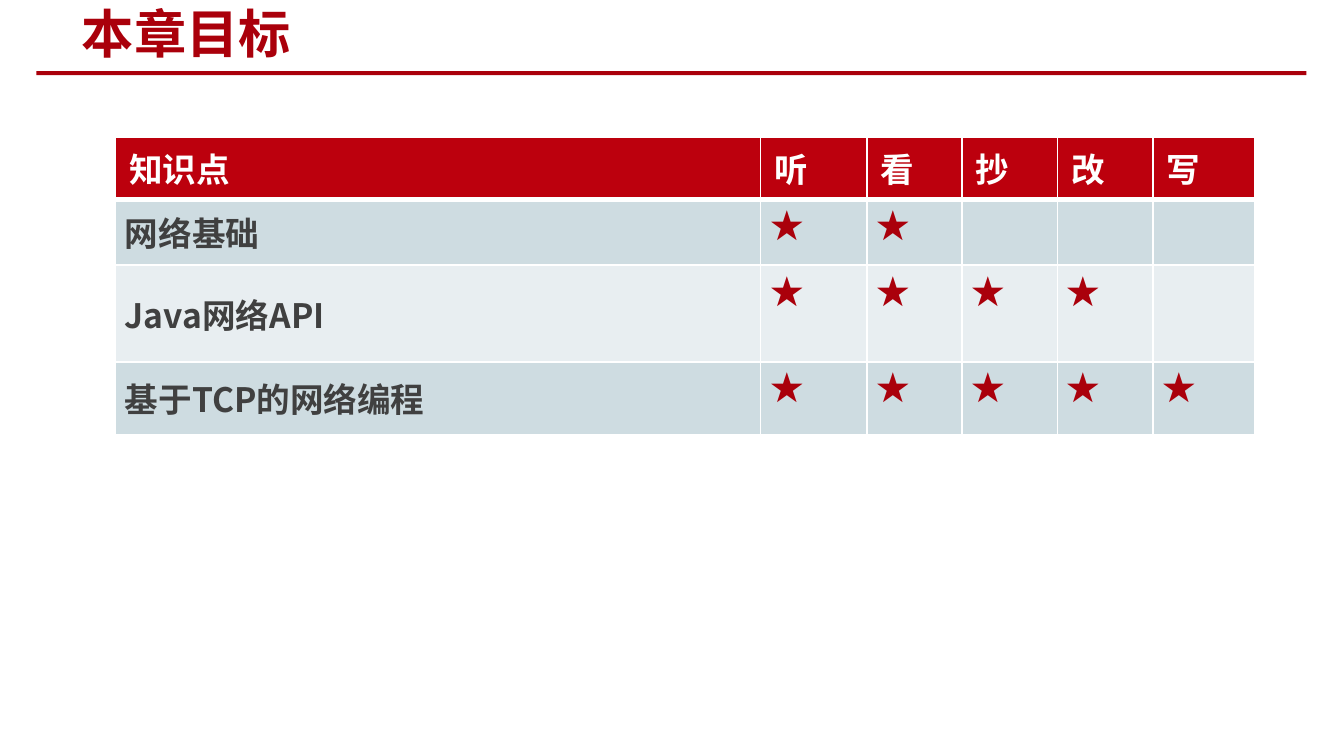
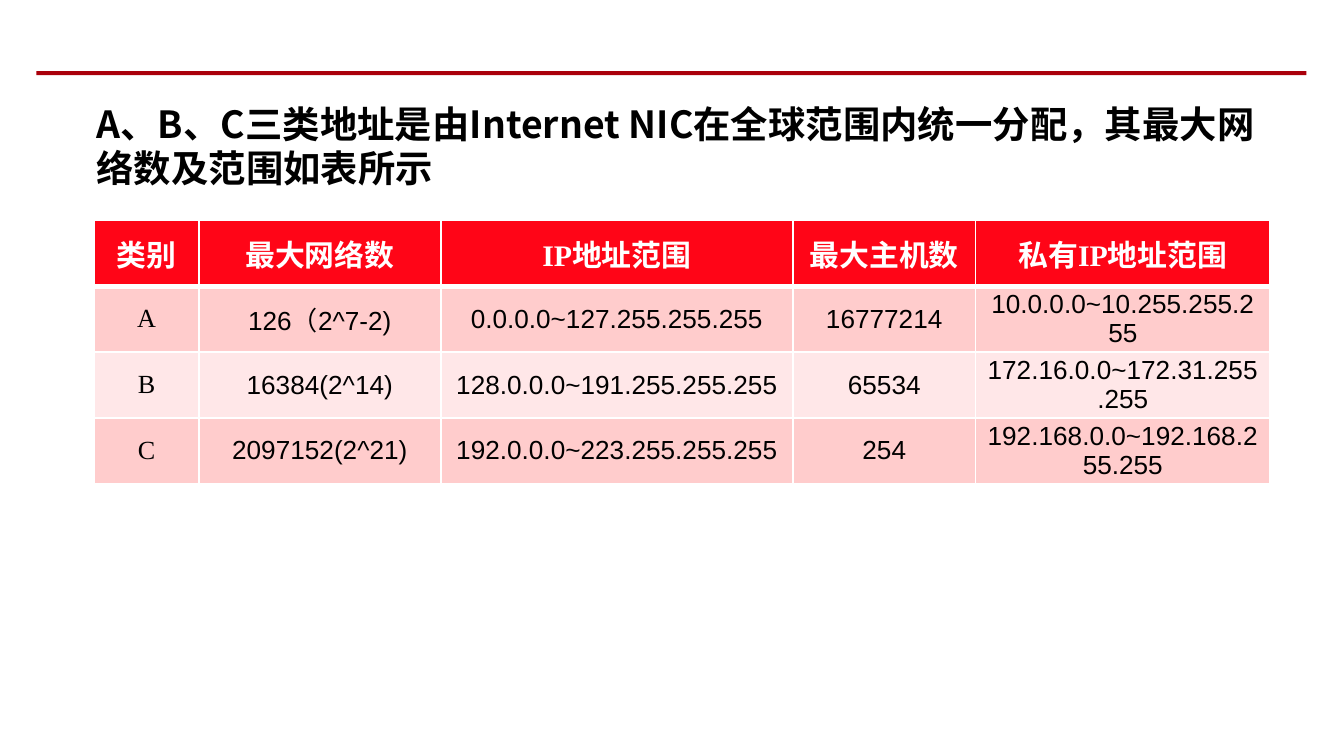
"""Build two networking course slides: a goals grid and an address class table."""
import dataclasses
import typing

import lxml.etree
import pptx
import pptx.dml.color
import pptx.enum.shapes
import pptx.enum.text
import pptx.oxml.ns
import pptx.util

Inches = pptx.util.Inches
Pt = pptx.util.Pt
qn = pptx.oxml.ns.qn
ALIGN = pptx.enum.text.PP_ALIGN
ANCHOR = pptx.enum.text.MSO_ANCHOR

COLORS = {
    "white": "FFFFFF", "black": "000000", "grey": "404040", "brand": "AA000B",
    "goal_head": "BC000D", "goal_odd": "CEDCE1", "goal_even": "E8EEF1",
    "class_head": "FF0517", "class_odd": "FFCCCC", "class_even": "FFE7E8",
}
CJK = "Noto Sans CJK SC"
SERIF = "Times New Roman"
SANS = "Arial"
STAR = "★"


@dataclasses.dataclass(frozen=True)
class Style:
    """Text format of a run and its paragraph."""
    size: float
    color: str
    font: str = CJK
    bold: bool = True
    align: typing.Any = ALIGN.LEFT


@dataclasses.dataclass(frozen=True)
class CellStyle:
    """Text format, anchor and margins of a table cell."""
    text: Style
    anchor: typing.Any
    margin_x: float
    margin_y: float


@dataclasses.dataclass(frozen=True)
class Grid:
    """A table with a header row, a styled first column and banded rows."""
    left: float
    top: float
    cols: typing.Sequence[float]
    rows: typing.Sequence[float]
    data: typing.Sequence[typing.Sequence[str]]
    fills: typing.Tuple[str, str, str]
    head: CellStyle
    first: CellStyle
    body: CellStyle


def rgb(name: str) -> pptx.dml.color.RGBColor:
    """Return a palette colour."""
    return pptx.dml.color.RGBColor.from_string(COLORS[name])


def set_attrs(obj: typing.Any, values: typing.Dict[str, typing.Any]) -> None:
    """Set each attribute of an object from a dict."""
    for name, value in values.items():
        setattr(obj, name, value)


def write(tf: typing.Any, text: str, style: Style) -> None:
    """Write one formatted paragraph."""
    p = tf.paragraphs[0]
    p.alignment = style.align
    r = p.add_run()
    r.text = text
    set_attrs(r.font, {"size": Pt(style.size), "name": style.font, "bold": style.bold})
    r.font.color.rgb = rgb(style.color)
    ea = lxml.etree.SubElement(r.font._element, qn("a:ea"))
    ea.set("typeface", CJK)


def add_rule(slide: typing.Any) -> None:
    """Draw the red band below the title area."""
    sp = slide.shapes.add_shape(pptx.enum.shapes.MSO_SHAPE.RECTANGLE,
                                Inches(0.27), Inches(0.53), Inches(9.45), Inches(0.03))
    sp.shadow.inherit = False
    sp.fill.solid()
    sp.fill.fore_color.rgb = rgb("brand")
    sp.line.fill.background()


def add_title(slide: typing.Any, text: str) -> None:
    """Place and format the title placeholder."""
    sp = slide.shapes.title
    set_attrs(sp, {"left": Inches(0.51), "top": Inches(0.02),
                   "width": Inches(5.3), "height": Inches(0.45)})
    set_attrs(sp.text_frame, {"word_wrap": True, "vertical_anchor": ANCHOR.MIDDLE,
                              "auto_size": pptx.enum.text.MSO_AUTO_SIZE.NONE})
    write(sp.text_frame, text, Style(28, "brand"))


def add_lead(slide: typing.Any, text: str) -> None:
    """Add the introductory sentence."""
    sp = slide.shapes.add_textbox(Inches(0.62), Inches(0.7), Inches(8.98), Inches(1.41))
    sp.text_frame.word_wrap = True
    write(sp.text_frame, text, Style(20, "black"))


def add_borders(cell: typing.Any, top: float, bottom: float) -> None:
    """Draw the white lines around a cell."""
    tc_pr = cell._tc.get_or_add_tcPr()
    for side, width in {"L": 1, "R": 1, "T": top, "B": bottom}.items():
        ln = lxml.etree.SubElement(tc_pr, qn(f"a:ln{side}"), w=str(Pt(width)))
        fill = lxml.etree.SubElement(ln, qn("a:solidFill"))
        lxml.etree.SubElement(fill, qn("a:srgbClr"), val=COLORS["white"])


def add_grid(slide: typing.Any, grid: Grid) -> None:
    """Draw a table."""
    frame = slide.shapes.add_table(len(grid.rows), len(grid.cols),
                                   Inches(grid.left), Inches(grid.top),
                                   Inches(sum(grid.cols)), Inches(sum(grid.rows)))
    table = frame.table
    for col, width in zip(table.columns, grid.cols):
        col.width = Inches(width)
    for row, height in zip(table.rows, grid.rows):
        row.height = Inches(height)
    for i, values in enumerate(grid.data):
        for j, text in enumerate(values):
            cell = table.cell(i, j)
            style = grid.head if i == 0 else grid.first if j == 0 else grid.body
            x, y = Inches(style.margin_x), Inches(style.margin_y)
            set_attrs(cell, {"vertical_anchor": style.anchor, "margin_left": x,
                             "margin_right": x, "margin_top": y, "margin_bottom": y})
            add_borders(cell, 3 if i == 1 else 1, 3 if i == 0 else 1)
            cell.fill.solid()
            band = 0 if i == 0 else 2 - i % 2
            cell.fill.fore_color.rgb = rgb(grid.fills[band])
            if text:
                write(cell.text_frame, text, style.text)


def goal_row(topic: str, stars: int) -> typing.List[str]:
    """Return a topic followed by its stars in five columns."""
    return [topic] + [STAR] * stars + [""] * (5 - stars)


def class_cell(size: float, color: str, font: str, bold: bool) -> CellStyle:
    """Return a centred cell style for the address table."""
    return CellStyle(Style(size, color, font, bold, ALIGN.CENTER), ANCHOR.MIDDLE, 0.07, 0.01)


GOALS = Grid(
    0.86, 1.02, [4.8, 0.79, 0.71, 0.71, 0.71, 0.76], [0.45, 0.49, 0.72, 0.54],
    [["知识点", "听", "看", "抄", "改", "写"],
     goal_row("网络基础", 2),
     goal_row("Java网络API", 4),
     goal_row("基于TCP的网络编程", 5)],
    ("goal_head", "goal_odd", "goal_even"),
    CellStyle(Style(18, "white"), ANCHOR.TOP, 0.1, 0.05),
    CellStyle(Style(18, "grey"), ANCHOR.MIDDLE, 0.07, 0),
    CellStyle(Style(18, "brand"), ANCHOR.TOP, 0.07, 0),
)

CLASSES = Grid(
    0.7, 1.64, [0.78, 1.8, 2.62, 1.36, 2.19], [0.49] * 4,
    [["类别", "最大网络数", "IP地址范围", "最大主机数", "私有IP地址范围"],
     ["A", "126（2^7-2)", "0.0.0.0~127.255.255.255", "16777214",
      "10.0.0.0~10.255.255.255"],
     ["B", "16384(2^14)", "128.0.0.0~191.255.255.255", "65534",
      "172.16.0.0~172.31.255.255"],
     ["C", "2097152(2^21)", "192.0.0.0~223.255.255.255", "254",
      "192.168.0.0~192.168.255.255"]],
    ("class_head", "class_odd", "class_even"),
    class_cell(16, "white", SERIF, True),
    class_cell(14, "black", SERIF, False),
    class_cell(14, "black", SANS, False),
)


def main() -> None:
    """Build and save the presentation."""
    prs = pptx.Presentation()
    set_attrs(prs, {"slide_width": Inches(10), "slide_height": Inches(10) * 9 // 16})

    slide = prs.slides.add_slide(prs.slide_layouts.get_by_name("Title Only"))
    add_rule(slide)
    add_title(slide, "本章目标")
    add_grid(slide, GOALS)

    slide = prs.slides.add_slide(prs.slide_layouts.get_by_name("Blank"))
    add_rule(slide)
    add_grid(slide, CLASSES)
    add_lead(slide, "A、B、C三类地址是由Internet NIC在全球范围内统一分配，其最大网络数及范围如表所示")

    prs.save("out.pptx")


main()
